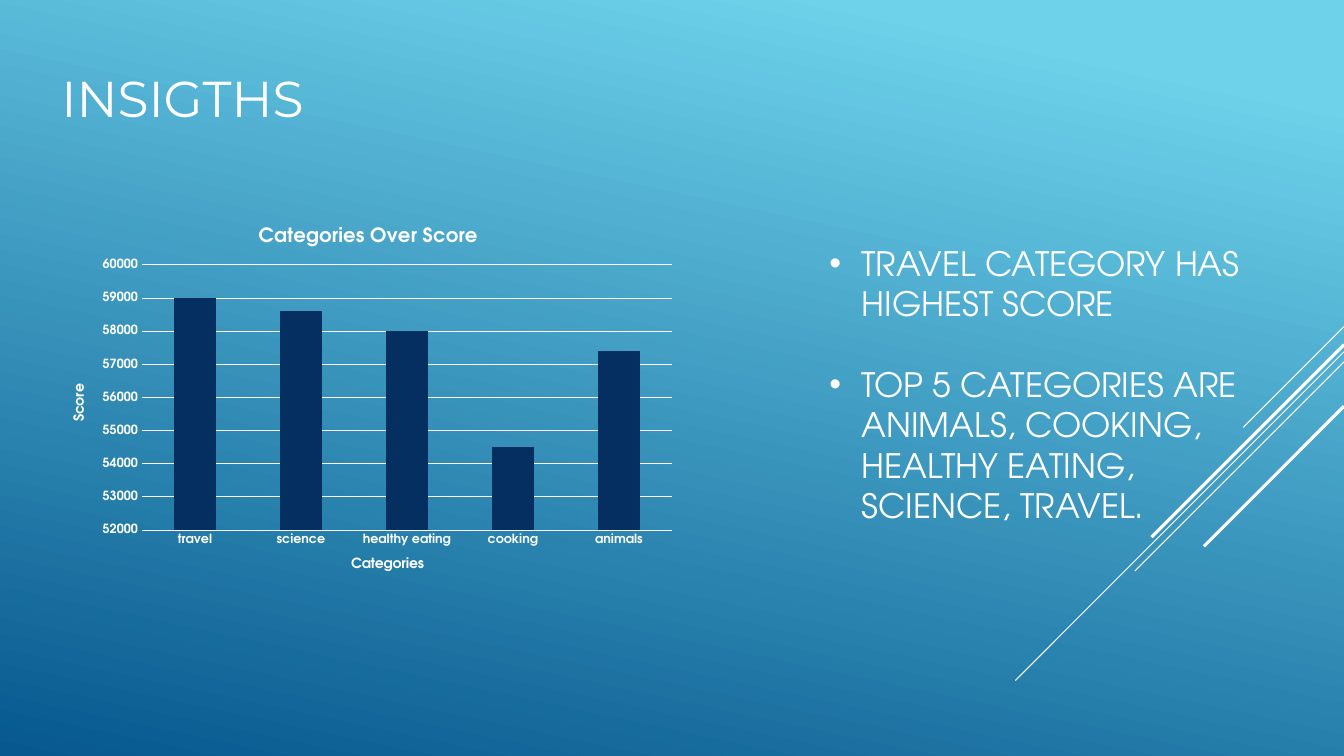
from lxml.etree import SubElement
from pptx import Presentation
from pptx.chart.data import CategoryChartData
from pptx.dml.color import RGBColor
from pptx.enum.chart import XL_CHART_TYPE, XL_TICK_MARK
from pptx.enum.shapes import MSO_CONNECTOR
from pptx.oxml import parse_xml
from pptx.oxml.ns import nsdecls, qn
from pptx.util import Pt

COLORS = {"sky": "6ED2EB", "deep": "06588E", "white": "FFFFFF", "bar": "052F61"}
HEADING_FONT, BODY_FONT = "Montserrat", "TeX Gyre Adventor"
SLIDE_WIDTH, SLIDE_HEIGHT = 960, 540

HEADING = "INSIGTHS"
FINDINGS = [
    "TRAVEL CATEGORY HAS HIGHEST SCORE",
    "TOP 5 CATEGORIES ARE ANIMALS, COOKING, HEALTHY EATING, SCIENCE, TRAVEL.",
]
SCORES = {"travel": 59000, "science": 58600, "healthy eating": 58000,
          "cooking": 54500, "animals": 57400}
CHART_TITLE, CATEGORY_TITLE, SCORE_TITLE = "Categories Over Score", "Categories", "Score"

# Diagonals fall at 45 degrees from the right edge: top, drop, weight
DIAGONALS = [(233.3, 72, 0.75), (251.3, 234.7, 0.75), (258.5, 149.4, 0.75),
             (246.2, 137.5, 2.25), (290.2, 100.1, 2.25)]

# Chart frame on the slide; its parts are placed from the frame's corner
CHART_PLACE = (36.7, 149.8, 452.9, 272.9)
PLOT_PLACE = (64.7, 39.5, 378.6, 189.5)
TITLE_PLACES = [(145.5, 8.9), (212.3, 245.6), (12.7, 122.8)]


def rgb(name):
    """Return a palette colour."""
    return RGBColor.from_string(COLORS[name])


def style(font, size, face=BODY_FONT, bold=False):
    """Apply white text formatting."""
    for key, value in {"size": Pt(size), "name": face, "bold": bold}.items():
        setattr(font, key, value)
    font.color.rgb = rgb("white")


def paint_background(slide):
    """Fill the slide with the slanted blue gradient."""
    fill = slide.background.fill
    fill.gradient()
    fill.gradient_angle = 258
    for stop, (name, position) in zip(fill.gradient_stops, [("sky", 0.1), ("deep", 1)]):
        stop.color.rgb = rgb(name)
        stop.position = position


def add_diagonal(slide, top, drop, weight):
    """Draw one decorative line from the right edge down to the left."""
    diagonal = slide.shapes.add_connector(
        MSO_CONNECTOR.STRAIGHT, Pt(SLIDE_WIDTH), Pt(top),
        Pt(SLIDE_WIDTH - drop), Pt(top + drop))
    diagonal.line.color.rgb = rgb("white")
    diagonal.line.width = Pt(weight)
    SubElement(diagonal._element.spPr, qn("a:effectLst"))


def add_text(slide, place, lines, size, face):
    """Add a wrapped text box and return its paragraphs."""
    frame = slide.shapes.add_textbox(*map(Pt, place)).text_frame
    frame.word_wrap = True
    frame.text = "\n".join(lines)
    for paragraph in frame.paragraphs:
        style(paragraph.runs[0].font, size, face)
    return frame.paragraphs


def add_bullet(paragraph, indent):
    """Give a paragraph a hanging bullet."""
    properties = paragraph._p.get_or_add_pPr()
    properties.set("marL", str(Pt(indent)))
    properties.set("indent", str(-Pt(indent)))
    SubElement(properties, qn("a:buFont")).set("typeface", "Arial")
    SubElement(properties, qn("a:buChar")).set("char", "•")


def set_layout(part, place, inner=False):
    """Place a chart part by points from the corner of the chart frame."""
    for old in part.findall(qn("c:layout")):
        part.remove(old)
    layout = parse_xml(f"<c:layout {nsdecls('c')}><c:manualLayout/></c:layout>")
    fractions = [length / whole for length, whole in zip(place, CHART_PLACE[2:] * 2)]
    entries = [("layoutTarget", "inner")] if inner else []
    entries += [("xMode", "edge"), ("yMode", "edge"), *zip("xywh", fractions)]
    for tag, value in entries:
        SubElement(layout[0], qn(f"c:{tag}")).set("val", str(value))
    part.insert(0 if part.find(qn("c:tx")) is None else 1, layout)


def set_title(owner_title, text, size):
    """Write a bold chart or axis title."""
    owner_title.text_frame.text = text
    style(owner_title.text_frame.paragraphs[0].runs[0].font, size, bold=True)


def add_score_chart(slide):
    """Add the column chart of category scores."""
    data = CategoryChartData()
    data.categories = list(SCORES)
    data.add_series("Series 1", list(SCORES.values()))
    chart = slide.shapes.add_chart(
        XL_CHART_TYPE.COLUMN_CLUSTERED, *map(Pt, CHART_PLACE), data).chart
    style(chart.font, 10)
    chart.has_legend = False
    set_title(chart.chart_title, CHART_TITLE, 14)
    for axis, text in [(chart.category_axis, CATEGORY_TITLE), (chart.value_axis, SCORE_TITLE)]:
        set_title(axis.axis_title, text, 10)
        style(axis.tick_labels.font, 9, bold=True)
        axis.major_tick_mark = axis.minor_tick_mark = XL_TICK_MARK.NONE
        axis.format.line.fill.background()
    scale = {"minimum_scale": 52000, "maximum_scale": 60000, "major_unit": 1000}
    for key, value in scale.items():
        setattr(chart.value_axis, key, value)
    gridline = chart.value_axis.major_gridlines.format.line
    gridline.color.rgb = rgb("white")
    gridline.width = Pt(0.75)
    columns = chart.plots[0]
    columns.gap_width = 150
    columns.vary_by_categories = False
    fill = columns.series[0].format.fill
    fill.solid()
    fill.fore_color.rgb = rgb("bar")
    chart_space = chart._chartSpace
    set_layout(chart_space.xpath(".//c:plotArea")[0], PLOT_PLACE, inner=True)
    for title, title_place in zip(chart_space.xpath(".//c:title"), TITLE_PLACES):
        set_layout(title, title_place)


deck = Presentation()
deck.slide_width, deck.slide_height = Pt(SLIDE_WIDTH), Pt(SLIDE_HEIGHT)
insights = deck.slides.add_slide(deck.slide_layouts[6])
paint_background(insights)
for diagonal_place in DIAGONALS:
    add_diagonal(insights, *diagonal_place)
add_text(insights, (36.7, 44.5, 296.6, 51), [HEADING], 36, HEADING_FONT)
findings = add_text(insights, (585.4, 169.9, 319, 211), FINDINGS, 24, BODY_FONT)
for finding in findings:
    add_bullet(finding, 23)
findings[1].space_before = Pt(28.8)
add_score_chart(insights)
deck.save("out.pptx")
